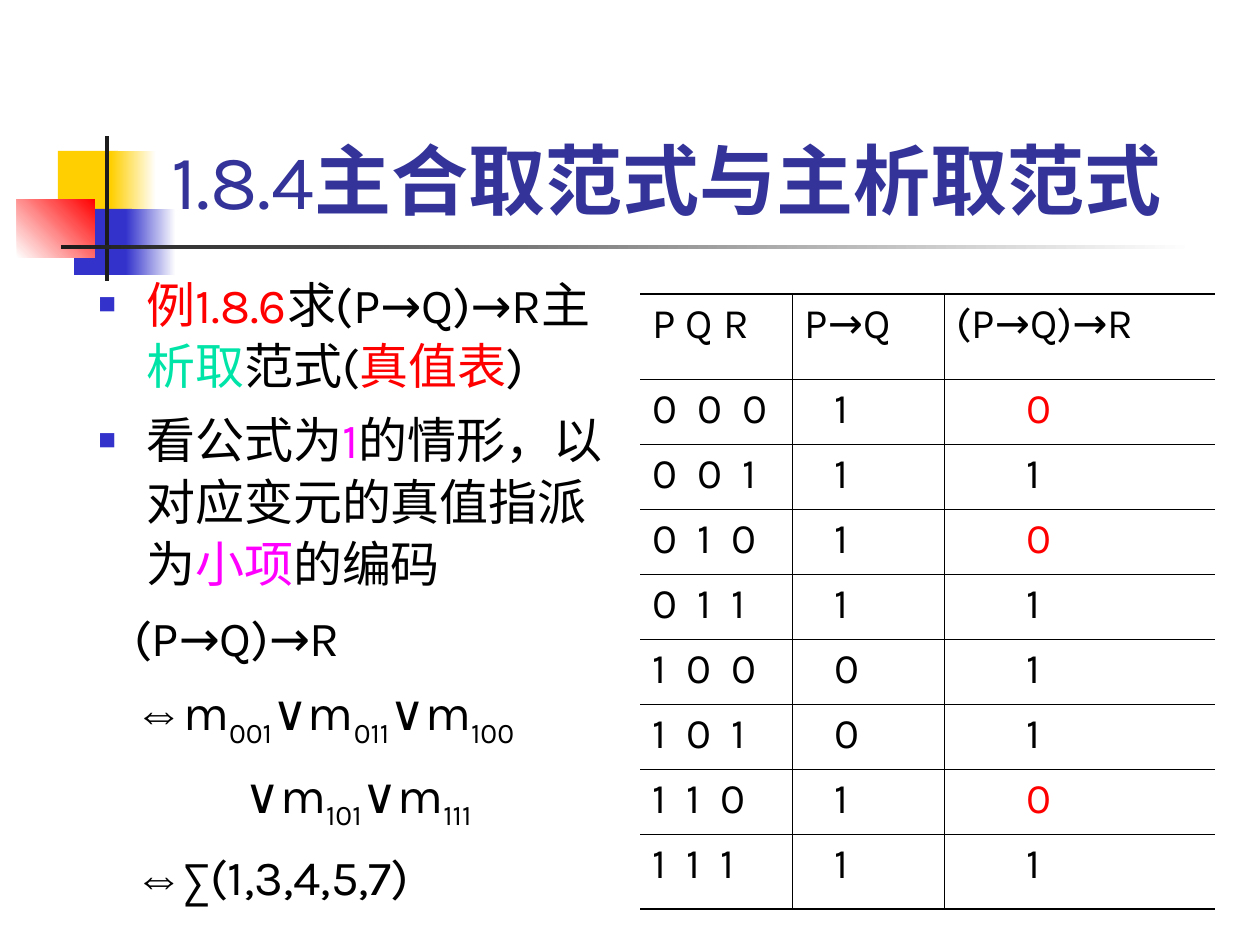
"""Build a slide on principal normal forms with a truth table."""
from itertools import product
from lxml import etree
from pptx import Presentation
from pptx import util as u
from pptx.dml.color import RGBColor
from pptx.enum import shapes, text
from pptx.oxml.ns import qn

SCALE = 914400 / 126
COLORS = {
    "black": "000000", "white": "FFFFFF", "red": "FF0000", "yellow": "FFCF01",
    "blue": "3333CC", "navy": "333399", "dark": "1C1C1C", "green": "00E4A8",
    "magenta": "FF00FF",
}


def px(value):
    return u.Emu(round(value * SCALE))


def add_span(para, words, size, color="black", font="Karla"):
    span = para.add_run()
    span.text = words
    span.font.size = u.Pt(size)
    span.font.name = font
    span.font.color.rgb = RGBColor.from_string(COLORS[color])
    return span


deck = Presentation()
deck.slide_width, deck.slide_height = px(1260), px(945)
page = deck.slides.add_slide(deck.slide_layouts[6])

ornaments = [
    ((58, 151, 60, 66), ["yellow"], 0),
    ((111, 151, 45, 66), ["yellow", "white"], 0),
    ((74, 209, 58, 66), ["blue"], 0),
    ((126, 209, 50, 66), ["blue", "white"], 0),
    ((17, 199, 78, 59), ["white", "red"], 45),
    ((105, 136, 4, 145), ["dark"], 0),
    ((61, 245, 1134, 4), ["dark", "white"], 0),
]
for area, tints, angle in ornaments:
    block = page.shapes.add_shape(shapes.MSO_SHAPE.RECTANGLE, *map(px, area))
    block.shadow.inherit = False
    block.line.fill.background()
    if len(tints) == 1:
        block.fill.solid()
        block.fill.fore_color.rgb = RGBColor.from_string(COLORS[tints[0]])
    else:
        block.fill.gradient()
        block.fill.gradient_angle = angle
        for stop, tint in zip(block.fill.gradient_stops, tints):
            stop.color.rgb = RGBColor.from_string(COLORS[tint])

title = page.shapes.add_textbox(*map(px, (159, 29, 1074, 202))).text_frame
title.word_wrap = True
title.vertical_anchor = text.MSO_ANCHOR.BOTTOM
add_span(title.paragraphs[0], "1.8.4", 44, "navy")
add_span(title.paragraphs[0], "主合取范式与主析取范式", 44, "navy").font.bold = True

bulleted = [
    [("例1.8.6", "red"), ("求(P→Q)→R主", "black"), ("析取", "green"),
     ("范式(", "black"), ("真值表", "red"), (")", "black")],
    [("看公式为", "black"), ("1", "magenta"),
     ("的情形，以对应变元的真值指派为", "black"), ("小项", "magenta"), ("的编码", "black")],
]
formulas = [
    (36, ["(P→Q)→R"]),
    (36, ["⇔", "m", "001", "∨m", "011", "∨m", "100"]),
    (146, ["∨m", "101", "∨m", "111"]),
    (36, ["⇔", "∑(1,3,4,5,7)"]),
]
body = page.shapes.add_textbox(*map(px, (86, 265, 544, 680))).text_frame
body.word_wrap = True
paras = [body.paragraphs[0]] + [body.add_paragraph() for _ in range(5)]
for para in paras:
    para.line_spacing = 1.05
    para.space_before = u.Pt(7)
for para, spans in zip(paras, bulleted):
    props = para._p.get_or_add_pPr()
    props.set("marL", str(px(48)))
    props.set("indent", str(px(-48)))
    tint = etree.SubElement(props, qn("a:buClr"))
    etree.SubElement(tint, qn("a:srgbClr"), val=COLORS["blue"])
    etree.SubElement(props, qn("a:buSzPct"), val="60000")
    etree.SubElement(props, qn("a:buFont"), typeface="Arial")
    etree.SubElement(props, qn("a:buChar"), char="■")
    for words, color in spans:
        add_span(para, words, 28, color)
for para, (indent, spans) in zip(paras[2:], formulas):
    para._p.get_or_add_pPr().set("marL", str(px(indent)))
    for words in spans:
        span = add_span(para, words, 28, font="Arial" if words == "⇔" else "Karla")
        if words.isdigit():
            span.font._element.set("baseline", "-25000")

rows = [("P Q R", "P→Q", "(P→Q)→R")]
for p, q, r in product((0, 1), repeat=3):
    implied = int(not p or q)
    rows.append((f"{p} {q} {r}", str(implied), str(int(not implied or r))))
frame = page.shapes.add_table(len(rows), 3, *map(px, (640, 294, 575, 615)))
table = frame.table
table.first_row = table.horz_banding = False
for column, width in zip(table.columns, (152, 152, 271)):
    column.width = px(width)
for row, height in zip(table.rows, [85] + [65] * 7 + [75]):
    row.height = px(height)

last = len(rows) - 1
for i, values in enumerate(rows):
    for j, words in enumerate(values):
        cell = table.cell(i, j)
        para = cell.text_frame.paragraphs[0]
        para.space_before = u.Pt(6)
        span = add_span(para, words, 24, "red" if j == 2 and words == "0" else "black")
        if i and j:
            para._p.get_or_add_pPr().set("marL", str(px((30, 70)[j - 1])))
        elif i:
            span.font._element.set("spc", "285")
        borders = {
            "L": 0.45 if j else 0,
            "R": 0.45 if j < 2 else 0,
            "T": 0.45 if i else 1.08,
            "B": 0.45 if i < last else 1.08,
        }
        props = cell._tc.get_or_add_tcPr()
        for side, weight in borders.items():
            edge = etree.SubElement(props, qn(f"a:ln{side}"), w=str(u.Pt(weight)))
            if weight:
                paint = etree.SubElement(edge, qn("a:solidFill"))
                etree.SubElement(paint, qn("a:srgbClr"), val=COLORS["black"])
            else:
                etree.SubElement(edge, qn("a:noFill"))
        cell.fill.background()

deck.save("out.pptx")
